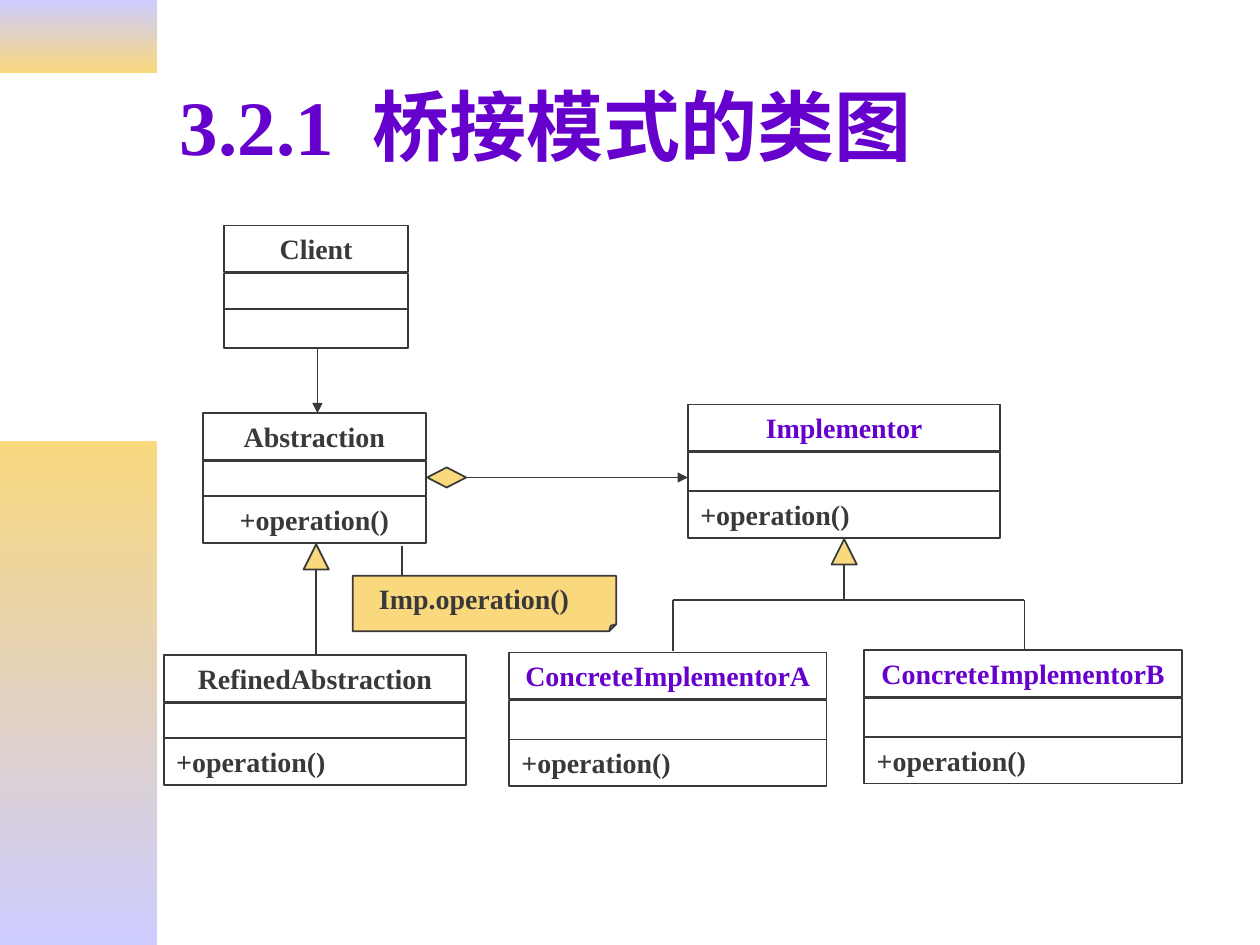
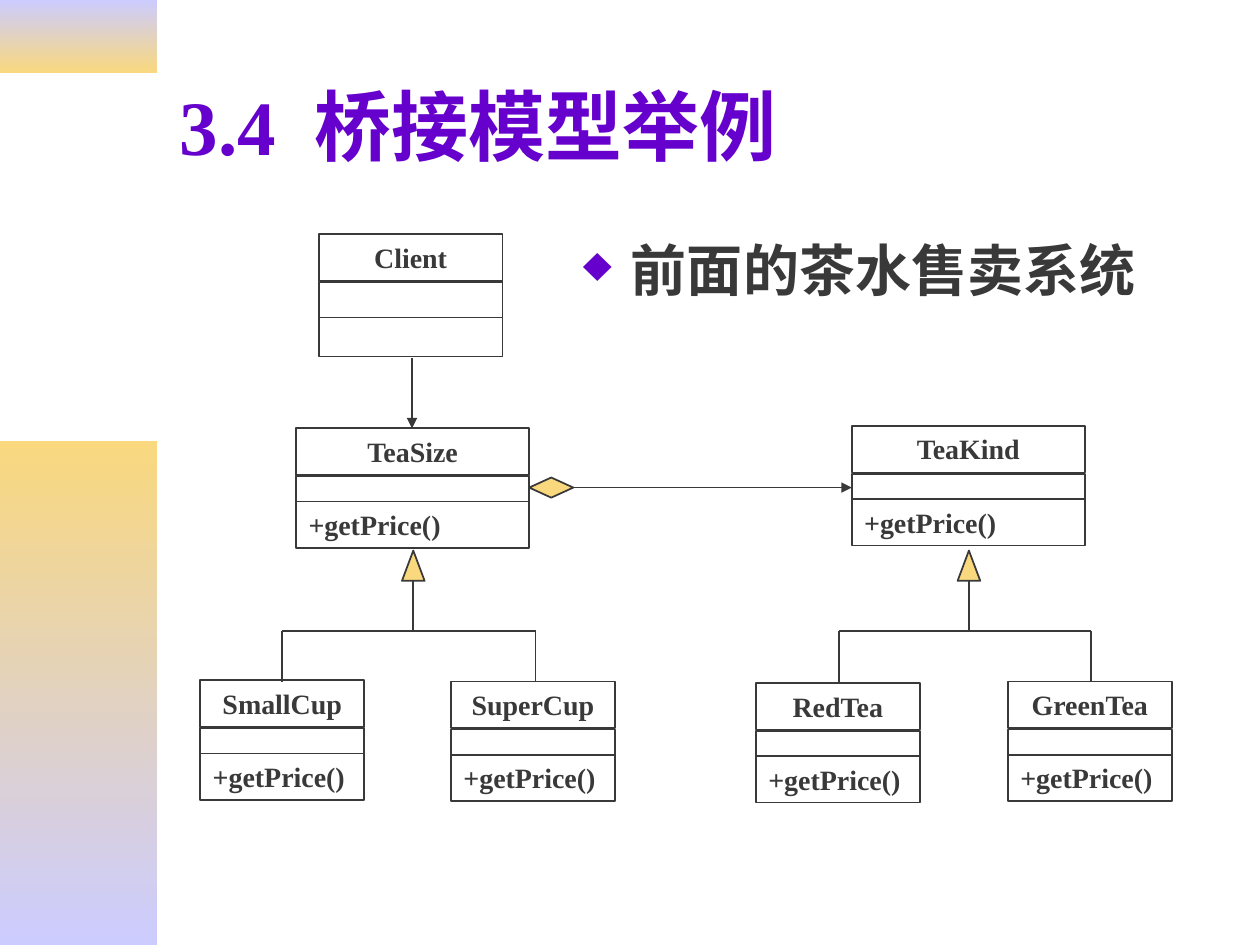
from lxml import etree
from pptx import Presentation
from pptx.dml.color import RGBColor
from pptx.enum import shapes, text
from pptx.oxml import ns
from pptx.util import Inches, Pt

HUES = {"ink": "393939", "violet": "6600CC", "gold": "F9D87E", "lilac": "CCCCFF"}
FONT = "Times New Roman"
KINDS = shapes.MSO_SHAPE
LEFT, MID = text.PP_ALIGN.LEFT, text.PP_ALIGN.CENTER
ROW = 0.37    # height of a row that holds text
STEP = 0.38   # from the top of a class to its second row

# band: top, height, upper and lower colour
BANDS = [(0, 0.58, "lilac", "gold"), (3.5, 4, "gold", "lilac")]

# classes: name, left, top, width, height of the empty row, then options
# heirs: centre and top of the triangle, its size, foot of the stem,
#        (centre, top) of each child
# owns: left and middle of the diamond, its width, end of the arrow
# calls: x, top and foot of the arrow from the client
SLIDES = [
    {
        "title": ("3.2.1", "桥接模式的类图"),
        "classes": [
            ("Client", 1.78, 1.79, 1.46, 0.28, {"last": 0.31}),
            ("Implementor", 5.46, 3.21, 2.48, 0.31,
             {"op": "+operation()", "hue": "violet"}),
            ("Abstraction", 1.61, 3.28, 1.77, 0.28,
             {"op": "+operation()", "align": MID}),
            ("RefinedAbstraction", 1.3, 5.2, 2.4, 0.28, {"op": "+operation()"}),
            ("ConcreteImplementorA", 4.04, 5.18, 2.52, 0.31,
             {"op": "+operation()", "hue": "violet"}),
            ("ConcreteImplementorB", 6.86, 5.16, 2.52, 0.31,
             {"op": "+operation()", "hue": "violet"}),
        ],
        "heirs": [
            (2.51, 4.32, 0.2, 0.2, 5.19, []),
            (6.7, 4.28, 0.2, 0.2, 4.76, [(5.34, 5.17), (8.13, 5.16)]),
        ],
        "owns": (3.39, 3.79, 0.31, 5.46),
        "calls": (2.52, 2.77, 3.28),
        "note": "Imp.operation()",
    },
    {
        "title": ("3.4", "桥接模型举例"),
        "point": "前面的茶水售卖系统",
        "classes": [
            ("Client", 2.53, 1.86, 1.46, 0.28, {"last": 0.31}),
            ("TeaSize", 2.35, 3.4, 1.85, 0.2, {"op": "+getPrice()"}),
            ("TeaKind", 6.76, 3.38, 1.85, 0.2, {"op": "+getPrice()"}),
            ("SmallCup", 1.59, 5.4, 1.3, 0.2, {"op": "+getPrice()"}),
            ("SuperCup", 3.58, 5.41, 1.3, 0.2, {"op": "+getPrice()"}),
            ("RedTea", 6, 5.42, 1.3, 0.2, {"op": "+getPrice()"}),
            ("GreenTea", 8, 5.41, 1.3, 0.2, {"op": "+getPrice()"}),
        ],
        "heirs": [
            (3.28, 4.37, 0.18, 0.24, 5.01, [(2.24, 5.41), (4.25, 5.41)]),
            (7.69, 4.37, 0.18, 0.24, 5.01, [(6.66, 5.42), (8.66, 5.41)]),
        ],
        "owns": (4.2, 3.87, 0.35, 6.76),
        "calls": (3.27, 2.84, 3.4),
    },
]


def paint(hue):
    return RGBColor.from_string(HUES[hue])


def add_tag(node, tag, **attrs):
    return etree.SubElement(node, ns.qn(tag), **attrs)


def write(shape, *parts, size=16, hue="ink", align=LEFT,
          anchor=text.MSO_ANCHOR.TOP, bullet=None):
    """Fill a shape with one bold paragraph, one run for each part."""
    frame = shape.text_frame
    frame.word_wrap = True
    frame.vertical_anchor = anchor
    para = frame.paragraphs[0]
    para.alignment = align
    if bullet:
        props = para._p.get_or_add_pPr()
        props.set("marL", str(Inches(0.38)))
        props.set("indent", str(-Inches(0.38)))
        color = add_tag(props, "a:buClr")
        add_tag(color, "a:srgbClr", val=HUES["violet"])
        add_tag(props, "a:buSzPct", val="90000")
        add_tag(props, "a:buChar", char=bullet)
    for part in parts:
        run = para.add_run()
        run.text = part
        font = run.font
        font.name, font.size, font.bold = FONT, Pt(size), True
        font.color.rgb = paint(hue)
    return para


def add_text(slide, box, *parts, **style):
    shape = slide.shapes.add_textbox(*map(Inches, box))
    return write(shape, *parts, **style)


def add_form(slide, kind, box, fill=None):
    shape = slide.shapes.add_shape(kind, *map(Inches, box))
    shape.shadow.inherit = False
    if fill:
        shape.fill.solid()
        shape.fill.fore_color.rgb = paint(fill)
    else:
        shape.fill.background()
    shape.line.color.rgb = paint("ink")
    shape.line.width = Pt(1)
    return shape


def add_line(slide, *ends, arrow=False):
    line = slide.shapes.add_connector(shapes.MSO_CONNECTOR.STRAIGHT,
                                      *map(Inches, ends))
    line.line.color.rgb = paint("ink")
    line.line.width = Pt(1)
    if arrow:
        add_tag(line.line._get_or_add_ln(), "a:tailEnd", type="triangle")
    add_tag(line._element.spPr, "a:effectLst")


def add_bands(slide):
    for top, high, *hues in BANDS:
        band = add_form(slide, KINDS.RECTANGLE, (0, top, 1.25, high))
        band.line.fill.background()
        band.fill.gradient()
        band.fill.gradient_angle = 270
        for stop, hue in zip(band.fill.gradient_stops, hues):
            stop.color.rgb = paint(hue)


def add_title(slide, number, name):
    para = add_text(slide, (1.33, 0.33, 8.5, 1.32), number, " ", name,
                    size=44, hue="violet", anchor=text.MSO_ANCHOR.MIDDLE)
    # widen the gap between number and name
    para.runs[1].font._element.set("spc", "1100")


def add_class(slide, name, left, top, wide, gap, opts):
    last = opts.get("last", ROW)
    rows = [(top, ROW), (top + STEP, gap), (top + STEP + gap, last)]
    head, _, foot = [add_form(slide, KINDS.RECTANGLE, (left, y, wide, high))
                     for y, high in rows]
    write(head, name, hue=opts.get("hue", "ink"), align=MID)
    if "op" in opts:
        write(foot, opts["op"], align=opts.get("align", LEFT))


def add_heirs(slide, x, top, wide, high, foot, kids):
    """Draw the inheritance triangle, its stem and the branches to the children."""
    add_form(slide, KINDS.ISOSCELES_TRIANGLE, (x - wide / 2, top, wide, high), "gold")
    add_line(slide, x, top + high, x, foot)
    if kids:
        add_line(slide, kids[0][0], foot, kids[-1][0], foot)
    for kid, y in kids:
        add_line(slide, kid, foot, kid, y)


def add_owner(slide, left, y, wide, end):
    """Draw the aggregation diamond and its arrow."""
    add_form(slide, KINDS.DIAMOND, (left, y - 0.08, wide, 0.16), "gold")
    add_line(slide, left + wide, y, end, y, arrow=True)


def add_note(slide, words):
    note = add_form(slide, KINDS.FOLDED_CORNER, (2.8, 4.57, 2.09, 0.44), "gold")
    fold = next(note._element.iter(ns.qn("a:avLst")))
    add_tag(fold, "a:gd", name="adj", fmla="val 12500")
    add_text(slide, (2.91, 4.57, 1.86, ROW), words)
    add_line(slide, 3.19, 4.56, 3.19, 4.33)


def main():
    deck = Presentation()
    deck.slide_width, deck.slide_height = Inches(10), Inches(7.5)
    for page in SLIDES:
        slide = deck.slides.add_slide(deck.slide_layouts[6])
        add_bands(slide)
        add_title(slide, *page["title"])
        if "point" in page:
            add_text(slide, (4.53, 1.82, 5.04, 0.82), page["point"],
                     size=32, bullet="♦")
        for item in page["classes"]:
            add_class(slide, *item)
        for item in page["heirs"]:
            add_heirs(slide, *item)
        add_owner(slide, *page["owns"])
        x, top, foot = page["calls"]
        add_line(slide, x, top, x, foot, arrow=True)
        if "note" in page:
            add_note(slide, page["note"])
    deck.save("out.pptx")


if __name__ == "__main__":
    main()
